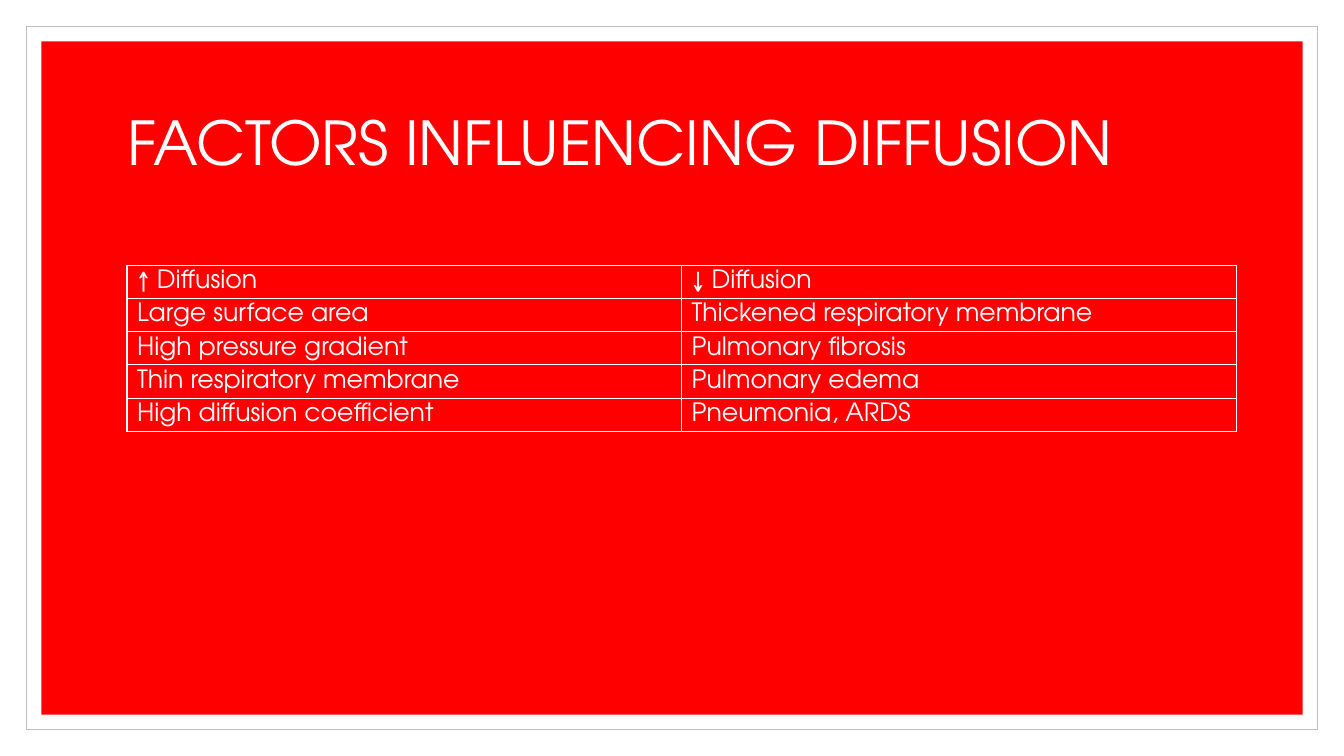
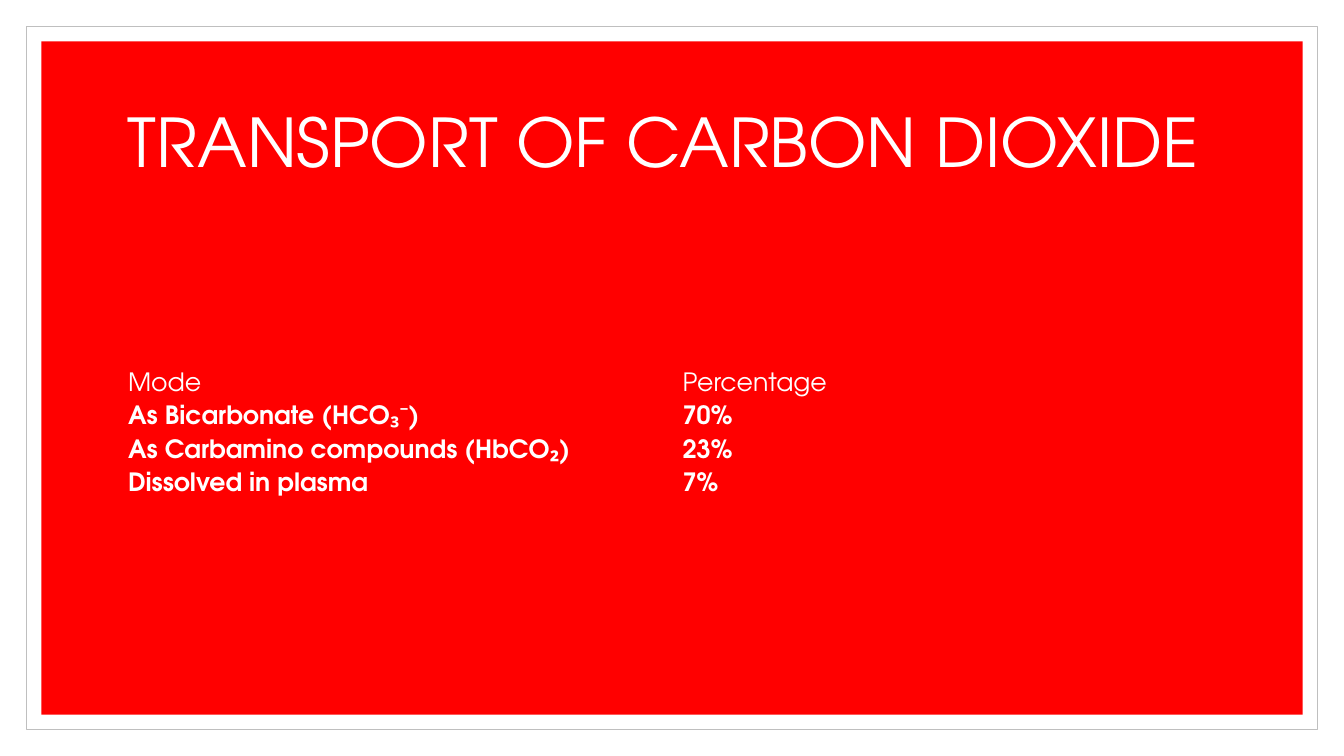
from dataclasses import dataclass

import lxml.etree
import pptx
import pptx.dml.color
import pptx.enum.shapes
import pptx.enum.text
import pptx.oxml.ns
import pptx.util

Inches = pptx.util.Inches


@dataclass(frozen=True)
class Theme:
    """Colours, font and type sizes shared by the slides."""

    font: str = "TeX Gyre Adventor"
    paper: str = "FFFFFF"
    panel: str = "FF0000"
    text: str = "FFFFFF"
    frame: str = "BFBFBF"
    title_size: float = 48
    long_title_size: float = 43.2
    table_size: float = 18
    frame_width: float = 0.5
    border_width: float = 1
    plain_table: str = "{2D5ABB26-0587-4C30-8999-92F81FD0307C}"


THEME = Theme()
SLIDE_WIDTH, SLIDE_HEIGHT = 13.33, 7.5
TITLE_BOX = (1.17, 0.7, 11, 1.5)
ROW_HEIGHT = 0.33
CELL_INSET = 0.1

DIFFUSION_ROWS = [
    ("↑ Diffusion", "↓ Diffusion"),
    ("Large surface area", "Thickened respiratory membrane"),
    ("High pressure gradient", "Pulmonary fibrosis"),
    ("Thin respiratory membrane", "Pulmonary edema"),
    ("High diffusion coefficient", "Pneumonia, ARDS"),
]
TRANSPORT_ROWS = [
    ("Mode", "Percentage"),
    ("As Bicarbonate (HCO₃⁻)", "70%"),
    ("As Carbamino compounds (HbCO₂)", "23%"),
    ("Dissolved in plasma", "7%"),
]


def colour(code):
    """Turn a hex code into a colour."""
    return pptx.dml.color.RGBColor.from_string(code)


def style_text(para, size, bold=False):
    """Give every run of a paragraph the deck's type style."""
    for span in para.runs:
        span.font.name = THEME.font
        span.font.size = pptx.util.Pt(size)
        span.font.bold = bold
        span.font.color.rgb = colour(THEME.text)


def add_panel(page, margin, fill, line=None):
    """Draw a rectangle set in from every slide edge by the margin."""
    panel = page.shapes.add_shape(
        pptx.enum.shapes.MSO_SHAPE.RECTANGLE,
        Inches(margin), Inches(margin),
        Inches(SLIDE_WIDTH - 2 * margin), Inches(SLIDE_HEIGHT - 2 * margin))
    panel.shadow.inherit = False
    panel.fill.solid()
    panel.fill.fore_color.rgb = colour(fill)
    if line:
        panel.line.color.rgb = colour(line)
        panel.line.width = pptx.util.Pt(THEME.frame_width)
    else:
        panel.line.fill.background()


def add_title(page, box, title, size):
    """Place the slide title, centred vertically in its box."""
    frame = page.shapes.add_textbox(*map(Inches, box)).text_frame
    frame.word_wrap = True
    frame.vertical_anchor = pptx.enum.text.MSO_ANCHOR.MIDDLE
    frame.text = title
    frame.paragraphs[0].line_spacing = 0.9
    style_text(frame.paragraphs[0], size)


def add_borders(cell):
    """Draw a solid line on all four sides of a cell."""
    name = pptx.oxml.ns.qn
    properties = cell._tc.get_or_add_tcPr()
    for side in ("a:lnL", "a:lnR", "a:lnT", "a:lnB"):
        line = lxml.etree.SubElement(
            properties, name(side), w=str(pptx.util.Pt(THEME.border_width)))
        fill = lxml.etree.SubElement(line, name("a:solidFill"))
        lxml.etree.SubElement(fill, name("a:srgbClr"), val=THEME.text)


def add_grid(page, left, top, width, rows, bordered=False, bold_body=False):
    """Place a table of equal columns and rows with clear cells."""
    columns = len(rows[0])
    holder = page.shapes.add_table(
        len(rows), columns, Inches(left), Inches(top),
        Inches(width), Inches(ROW_HEIGHT * len(rows)))
    table = holder.table
    table.first_row = False
    table.horz_banding = False
    style = table._tbl.tblPr.find(pptx.oxml.ns.qn("a:tableStyleId"))
    style.text = THEME.plain_table
    for column in table.columns:
        column.width = Inches(width / columns)
    for row_index, row in enumerate(rows):
        table.rows[row_index].height = Inches(ROW_HEIGHT)
        for column_index, words in enumerate(row):
            cell = table.cell(row_index, column_index)
            if bordered:
                add_borders(cell)
            cell.fill.background()
            cell.margin_left = cell.margin_right = Inches(CELL_INSET)
            cell.margin_top = cell.margin_bottom = 0
            cell.vertical_anchor = pptx.enum.text.MSO_ANCHOR.MIDDLE
            cell.text_frame.text = words
            style_text(cell.text_frame.paragraphs[0], THEME.table_size,
                       bold_body and row_index > 0)


def add_page(deck, title, title_size):
    """Add a framed red slide with its title."""
    page = deck.slides.add_slide(deck.slide_layouts[6])
    page.background.fill.solid()
    page.background.fill.fore_color.rgb = colour(THEME.paper)
    add_panel(page, 0.26, THEME.paper, THEME.frame)
    add_panel(page, 0.41, THEME.panel)
    add_title(page, TITLE_BOX, title, title_size)
    return page


def main():
    """Build and save the deck."""
    deck = pptx.Presentation()
    deck.slide_width = Inches(SLIDE_WIDTH)
    deck.slide_height = Inches(SLIDE_HEIGHT)
    page = add_page(deck, "FACTORS INFLUENCING DIFFUSION", THEME.long_title_size)
    add_grid(page, 1.26, 2.63, 11, DIFFUSION_ROWS, bordered=True)
    page = add_page(deck, "TRANSPORT OF CARBON DIOXIDE", THEME.title_size)
    add_grid(page, 1.17, 3.65, 11, TRANSPORT_ROWS, bold_body=True)
    deck.save("out.pptx")


if __name__ == "__main__":
    main()
